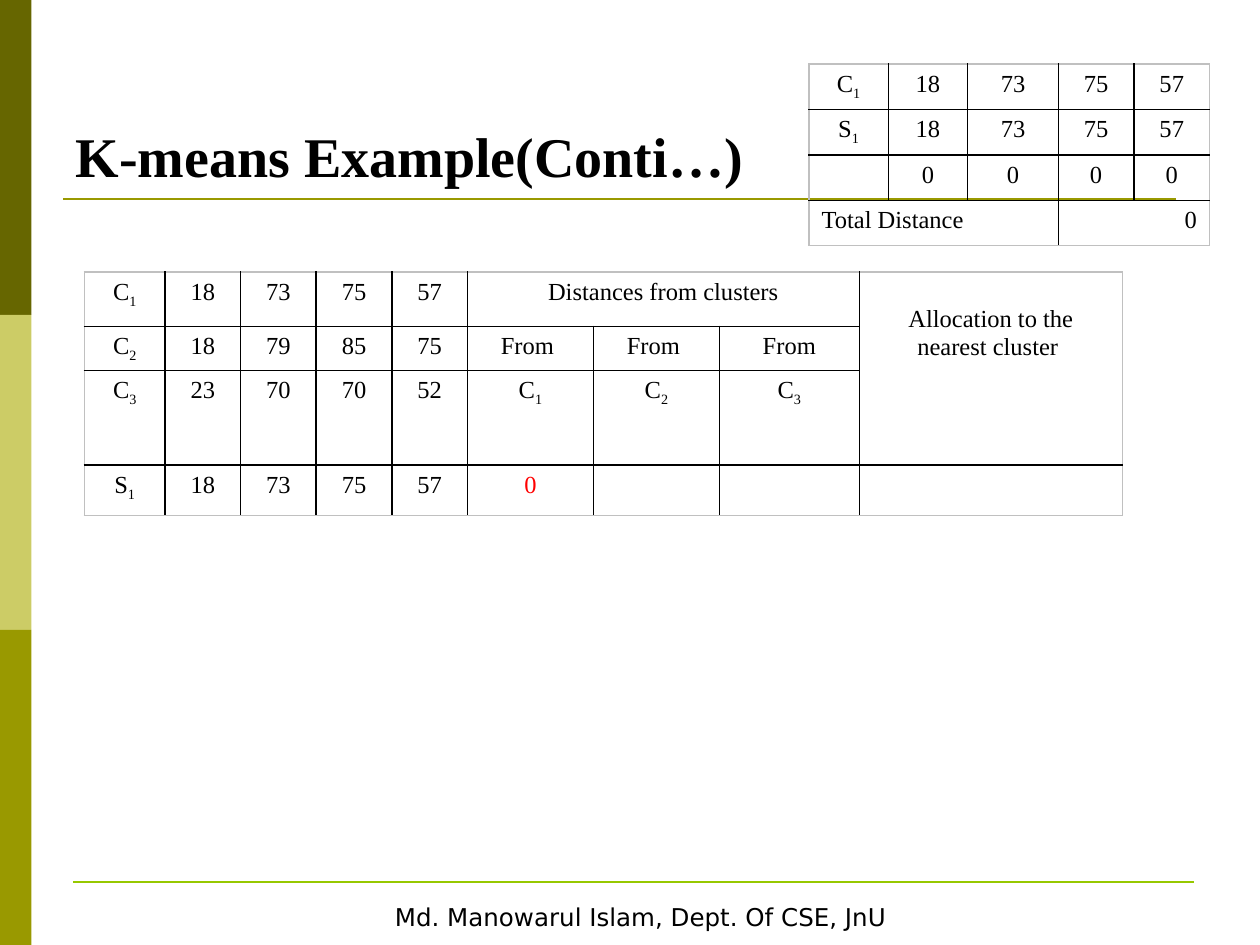
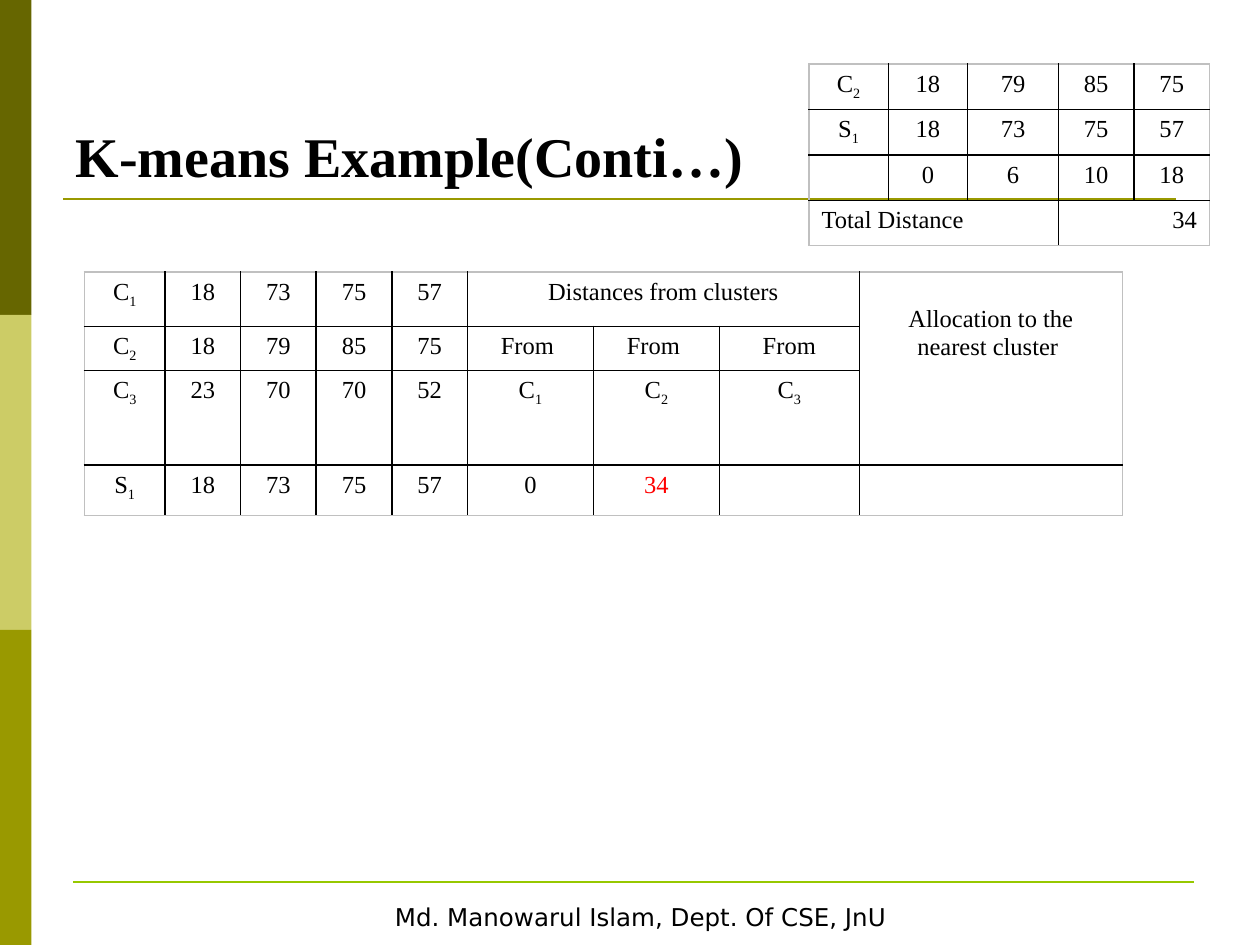
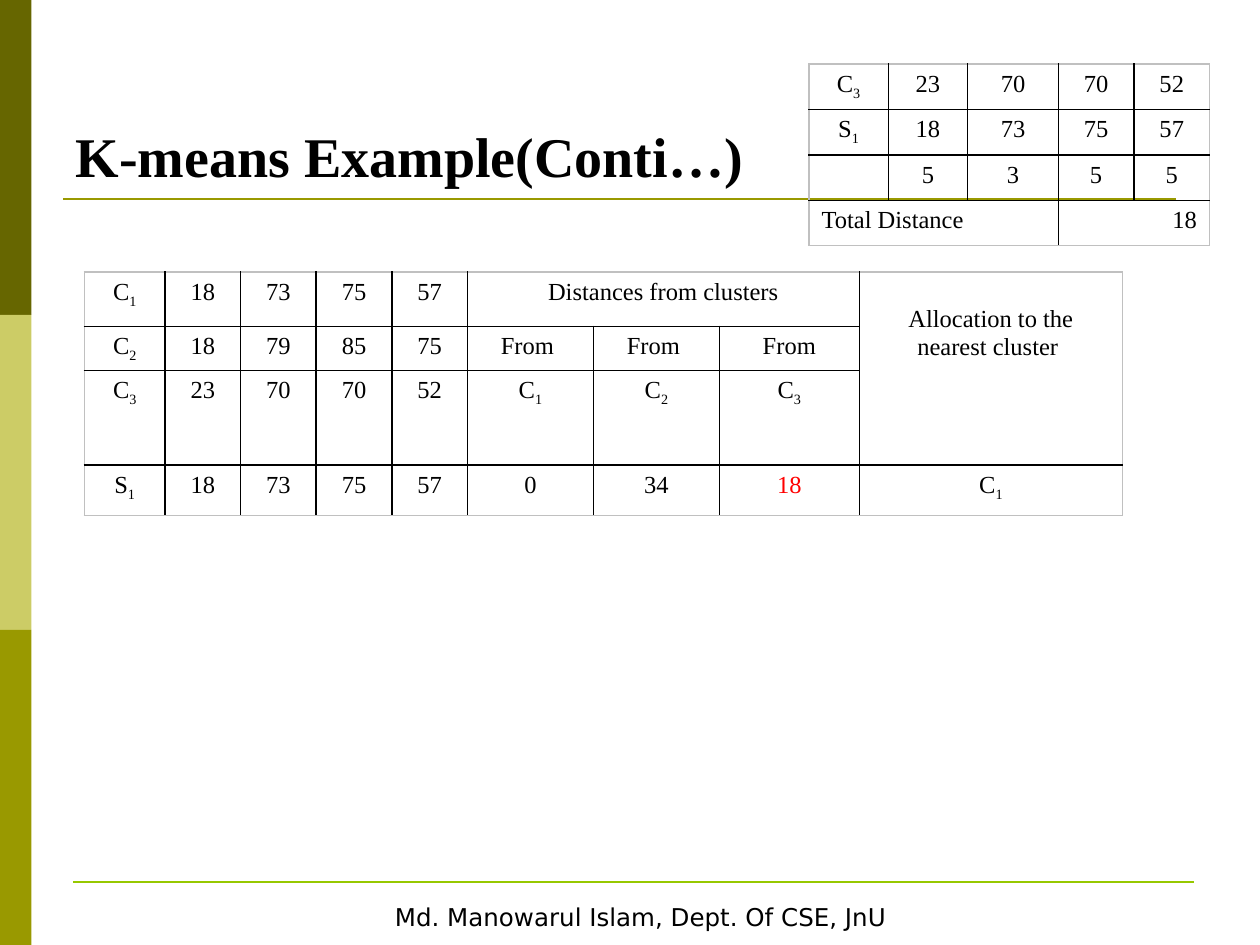
from lxml.etree import SubElement
from pptx import Presentation
from pptx.dml.color import RGBColor
from pptx.enum.shapes import MSO_CONNECTOR, MSO_SHAPE
from pptx.enum.text import MSO_ANCHOR, PP_ALIGN
from pptx.oxml.ns import qn
from pptx.util import Inches, Pt

BLACK = RGBColor(0x00, 0x00, 0x00)
WHITE = RGBColor(0xFF, 0xFF, 0xFF)
RED = RGBColor(0xFF, 0x00, 0x00)
EDGE_GREY = RGBColor(0xC0, 0xC0, 0xC0)
DARK_OLIVE = RGBColor(0x66, 0x66, 0x00)
PALE_OLIVE = RGBColor(0xCC, 0xCC, 0x66)
OLIVE = RGBColor(0x99, 0x99, 0x00)
GREEN = RGBColor(0x96, 0xC8, 0x00)
SERIF = "Times New Roman"
SANS = "DejaVu Sans"

CENTERS = {"C1": (18, 73, 75, 57), "C2": (18, 79, 85, 75), "C3": (23, 70, 70, 52)}
SAMPLE = (18, 73, 75, 57)
DIFFERENCES = {
    name: [abs(a - b) for a, b in zip(center, SAMPLE)] for name, center in CENTERS.items()
}
TOTALS = {name: sum(values) for name, values in DIFFERENCES.items()}


def style_font(font, name, size, color=BLACK, bold=False):
    font.name, font.size, font.bold = name, Pt(size), bold
    font.color.rgb = color


def add_block(page, left, top, width, height, color):
    block = page.shapes.add_shape(
        MSO_SHAPE.RECTANGLE, Inches(left), Inches(top), Inches(width), Inches(height))
    block.shadow.inherit = False
    block.fill.solid()
    block.fill.fore_color.rgb = color
    block.line.fill.background()
    return block


def add_rule(page, left, right, top, color):
    rule = page.shapes.add_connector(
        MSO_CONNECTOR.STRAIGHT, Inches(left), Inches(top), Inches(right), Inches(top))
    rule.line.color.rgb = color
    rule.line.width = Pt(1.5)
    SubElement(rule._element.spPr, qn("a:effectLst"))


def add_frame(page):
    for index, color in enumerate((DARK_OLIVE, PALE_OLIVE, OLIVE)):
        add_block(page, 0, 2.5 * index, 0.25, 2.5, color)
    add_rule(page, 0.5, 9.33, 1.58, OLIVE)
    add_rule(page, 0.58, 9.48, 7, GREEN)
    footer = add_block(page, 0.5, 7.1, 9.17, 0.35, WHITE)
    footer.line.color.rgb = WHITE
    footer.line.width = Pt(2)
    footer.text_frame.word_wrap = False
    para = footer.text_frame.paragraphs[0]
    para.text = "Md. Manowarul Islam, Dept. Of CSE, JnU"
    para.alignment = PP_ALIGN.CENTER
    style_font(para.runs[0].font, SANS, 14)


def set_title(page, text):
    title = page.shapes.title
    title.left, title.top = Inches(0.5), Inches(0.3)
    title.width, title.height = Inches(9), Inches(1.25)
    title.text_frame.text = text
    title.text_frame.vertical_anchor = MSO_ANCHOR.BOTTOM
    para = title.text_frame.paragraphs[0]
    para.alignment = PP_ALIGN.LEFT
    style_font(para.runs[0].font, SERIF, 32, bold=True)


def fill_cell(cell, value):
    text = str(value)
    para = cell.text_frame.paragraphs[0]
    para.alignment = PP_ALIGN.CENTER
    is_symbol = len(text) == 2 and text[0] in "CS"
    for part in text if is_symbol else [text]:
        if not part:
            SubElement(para._p, qn("a:endParaRPr"), sz="1400")
            continue
        span = para.add_run()
        span.text = part
        style_font(span.font, SERIF, 14)
        if is_symbol and part.isdigit():
            span.font._element.set("baseline", "-25000")


def set_border(cell, side, color):
    line = SubElement(cell._tc.get_or_add_tcPr(), qn(f"a:{side}"), w=str(Pt(1)))
    fill = SubElement(line, qn("a:solidFill"))
    SubElement(fill, qn("a:srgbClr"), val=str(color))


def add_grid(page, left, top, widths, heights, rows, merges):
    frame = page.shapes.add_table(
        len(heights), len(widths), Inches(left), Inches(top),
        Inches(sum(widths)), Inches(sum(heights)))
    table = frame.table
    table.first_row = table.horz_banding = False
    for column, width in zip(table.columns, widths):
        column.width = Inches(width)
    for row, height in zip(table.rows, heights):
        row.height = Inches(height)
    for first, last in merges:
        table.cell(*first).merge(table.cell(*last))
    for r, values in enumerate(rows):
        for c, value in enumerate(values):
            cell = table.cell(r, c)
            fill_cell(cell, value)
            outer = {
                "lnL": c == 0,
                "lnR": c + cell.span_width == len(widths),
                "lnT": r == 0,
                "lnB": r + cell.span_height == len(heights),
            }
            for side, is_outer in outer.items():
                set_border(cell, side, EDGE_GREY if is_outer else BLACK)
            cell.fill.background()
    return table


def add_allocation_table(page, left, top, step):
    known = list(TOTALS.values())[:step]
    blanks = [""] * (len(TOTALS) - step)
    nearest = "" if blanks else min(TOTALS, key=TOTALS.get)
    rows = [
        ["C1", *CENTERS["C1"], "Distances from clusters", "", "",
         "Allocation to the nearest cluster "],
        ["C2", *CENTERS["C2"], "From ", "From ", "From", ""],
        ["C3", *CENTERS["C3"], *CENTERS, ""],
        ["S1", *SAMPLE, *known, *blanks, nearest],
    ]
    table = add_grid(
        page, left, top, [0.64] + [0.6] * 4 + [1, 1, 1.11, 2.09],
        [0.43, 0.35, 0.75, 0.4], rows, [((0, 5), (0, 7)), ((0, 8), (2, 8))])
    table.cell(0, 8).margin_top = Inches(0.27)
    newest = table.cell(3, 4 + step).text_frame.paragraphs[0]
    newest.runs[0].font.color.rgb = RED


def add_distance_table(page, left, top, name):
    rows = [
        [name, *CENTERS[name]],
        ["S1", *SAMPLE],
        ["", *DIFFERENCES[name]],
        ["Total Distance", "", "", TOTALS[name], ""],
    ]
    table = add_grid(
        page, left, top, [0.63, 0.63, 0.72, 0.6, 0.6], [0.36] * 4, rows,
        [((3, 0), (3, 2)), ((3, 3), (3, 4))])
    table.cell(3, 0).text_frame.paragraphs[0].alignment = PP_ALIGN.LEFT
    table.cell(3, 3).text_frame.paragraphs[0].alignment = PP_ALIGN.RIGHT


def add_example_page(deck, step, name):
    page = deck.slides.add_slide(deck.slide_layouts[5])
    add_frame(page)
    set_title(page, "K-means Example(Conti…)")
    add_allocation_table(page, 0.67, 2.16, step)
    add_distance_table(page, 6.42, 0.51, name)


def main():
    deck = Presentation()
    deck.slide_width, deck.slide_height = Inches(10), Inches(7.5)
    for step, name in enumerate(CENTERS, start=1):
        add_example_page(deck, step, name)
    deck.save("out.pptx")


if __name__ == "__main__":
    main()
